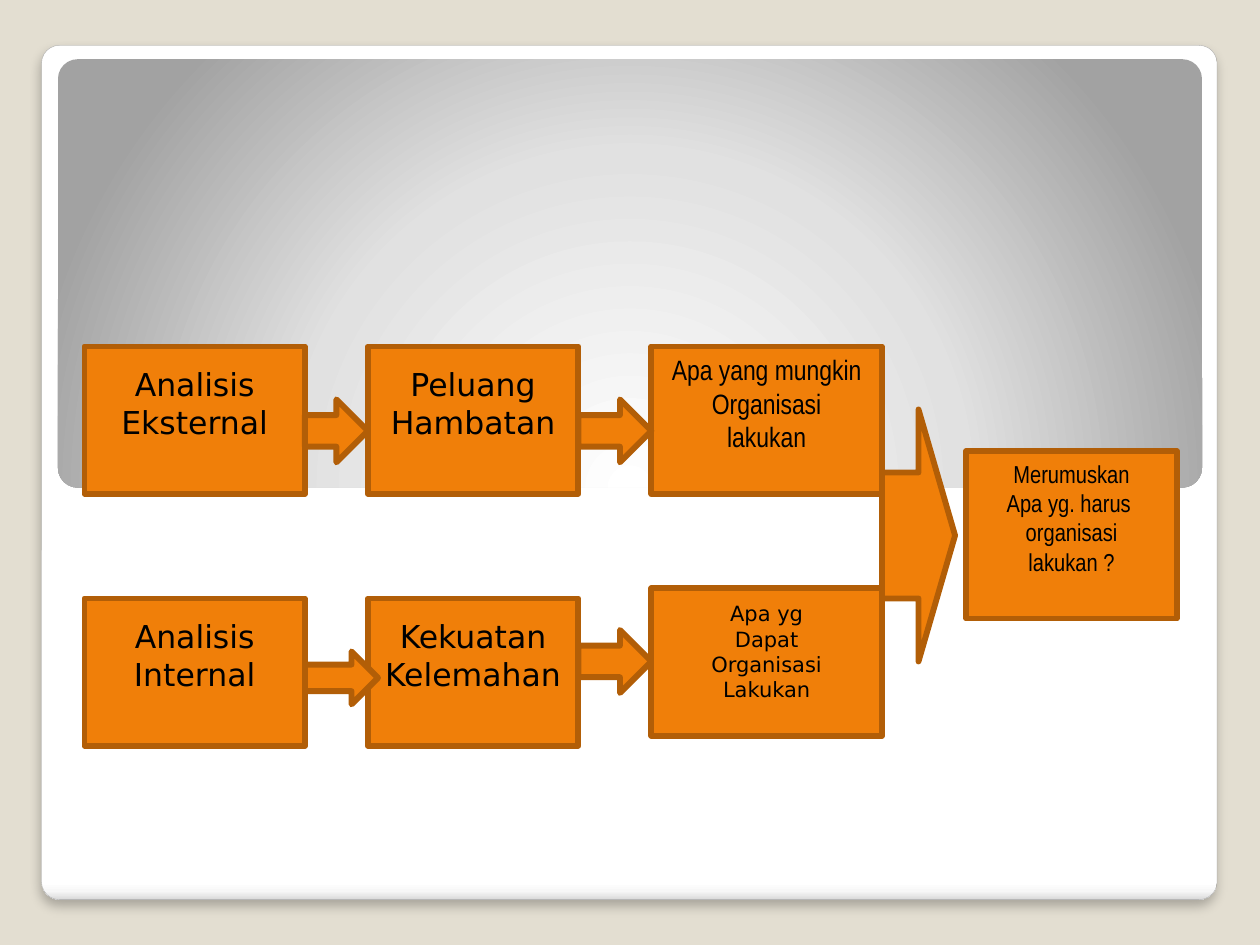
import lxml.etree
import pptx
import pptx.dml.color
import pptx.enum.shapes
import pptx.enum.text
import pptx.oxml.ns
import pptx.util

RGB = pptx.dml.color.RGBColor
KIND = pptx.enum.shapes.MSO_SHAPE
Inches = pptx.util.Inches
Pt = pptx.util.Pt

SAND = RGB(0xE3, 0xDE, 0xD1)
WHITE = RGB(0xFF, 0xFF, 0xFF)
PALE = RGB(0xF7, 0xF7, 0xF7)
MIST = RGB(0xE1, 0xE1, 0xE1)
SILVER = RGB(0xDA, 0xDA, 0xDA)
GREY = RGB(0xA2, 0xA2, 0xA2)
EDGE = RGB(0xA4, 0xA4, 0xA4)
ORANGE = RGB(0xF0, 0x7F, 0x09)
RUST = RGB(0xB2, 0x5E, 0x07)
BLACK = RGB(0, 0, 0)

SANS = "DejaVu Sans"
NARROW = "Arial Narrow"

# Column starts and widths, and the top of each row, in inches
COLS = [(0.67, 1.75), (2.92, 1.67), (5.17, 1.83), (7.67, 1.67)]
ROWS = [2.75, 4.75]
TALL = 1.17


def add(slide, kind, left, top, width, height, fill=ORANGE, line=RUST, weight=3.35):
    shape = slide.shapes.add_shape(
        kind, Inches(left), Inches(top), Inches(width), Inches(height))
    shape.shadow.inherit = False
    shape.fill.solid()
    shape.fill.fore_color.rgb = fill
    if line is None:
        shape.line.fill.background()
    else:
        shape.line.color.rgb = line
        shape.line.width = Pt(weight)
    return shape


def write(shape, text, size=18, font=SANS, inset=0.15):
    frame = shape.text_frame
    frame.word_wrap = True
    frame.vertical_anchor = pptx.enum.text.MSO_ANCHOR.TOP
    frame.margin_top = Inches(inset)
    frame.text = text
    for para in frame.paragraphs:
        para.alignment = pptx.enum.text.PP_ALIGN.CENTER
        para.font.size = Pt(size)
        para.font.name = font
        para.font.color.rgb = BLACK


def node(parent, tag, **attrs):
    return lxml.etree.SubElement(
        parent, pptx.oxml.ns.qn("a:" + tag), {k: str(v) for k, v in attrs.items()})


def blend(shape, stops):
    """Replace the solid fill by gradient stops and return the new element."""
    props = shape.element.spPr
    grad = node(props, "gradFill", rotWithShape=1)
    props.replace(props.find(pptx.oxml.ns.qn("a:solidFill")), grad)
    chain = node(grad, "gsLst")
    for share, color in stops:
        node(node(chain, "gs", pos=share * 1000), "srgbClr", val=color)
    return grad


def add_card(slide):
    card = add(slide, KIND.ROUNDED_RECTANGLE, 0.33, 0.36, 9.33, 6.78, WHITE, EDGE, 0.16)
    card.adjustments[0] = 0.021
    grad = blend(card, [(0, WHITE), (98, WHITE), (99, PALE), (100, SILVER)])
    node(grad, "lin", ang=5400000, scaled=0)
    effects = card.element.spPr.find(pptx.oxml.ns.qn("a:effectLst"))
    shade = node(effects, "outerShdw", blurRad=Pt(6), dist=Pt(4), dir=5400000,
                 algn="t", rotWithShape=0)
    node(node(shade, "srgbClr", val=BLACK), "alpha", val=25000)


def add_panel(slide):
    panel = add(slide, KIND.ROUNDED_RECTANGLE, 0.46, 0.47, 9.08, 3.4, WHITE, None)
    panel.adjustments[0] = 0.046
    grad = blend(panel, [(0, WHITE), (55, MIST), (100, GREY)])
    node(node(grad, "path", path="circle"), "fillToRect",
         l=50000, t=175000, r=50000, b=-75000)


def add_box(slide, col, top, text, height=TALL, **style):
    left, width = COLS[col]
    write(add(slide, KIND.RECTANGLE, left, top, width, height), text, **style)


def add_arrow(slide, col, top, width, height):
    """Start an arrow at the right edge of a column."""
    add(slide, KIND.RIGHT_ARROW, sum(COLS[col]), top, width, height)


def main():
    deck = pptx.Presentation()
    deck.slide_width, deck.slide_height = Inches(10), Inches(7.5)
    slide = deck.slides.add_slide(deck.slide_layouts[6])
    slide.background.fill.solid()
    slide.background.fill.fore_color.rgb = SAND
    add_card(slide)
    add_panel(slide)

    upper, lower = ROWS
    add_box(slide, 0, upper, "Analisis Eksternal")
    add_box(slide, 0, lower, "Analisis Internal")
    add_box(slide, 1, lower, "Kekuatan\nKelemahan")
    add_box(slide, 1, upper, "Peluang\nHambatan")
    add_box(slide, 2, upper, "Apa yang mungkin\nOrganisasi\nlakukan",
            size=16, font=NARROW, inset=0.05)
    add_box(slide, 3, 3.58, "Merumuskan\nApa yg. harus \norganisasi\nlakukan ?",
            height=1.33, size=14, font=NARROW, inset=0.06)

    add_arrow(slide, 2, 3.25, 0.58, 2)
    add_arrow(slide, 0, 3.17, 0.5, 0.5)
    add_arrow(slide, 1, 3.17, 0.58, 0.5)
    add_arrow(slide, 0, 5.17, 0.58, 0.42)
    add_arrow(slide, 1, 5, 0.58, 0.5)
    add_box(slide, 2, 4.67, "Apa yg\nDapat\nOrganisasi\nLakukan", size=12, inset=0.1)
    deck.save("out.pptx")


if __name__ == "__main__":
    main()
